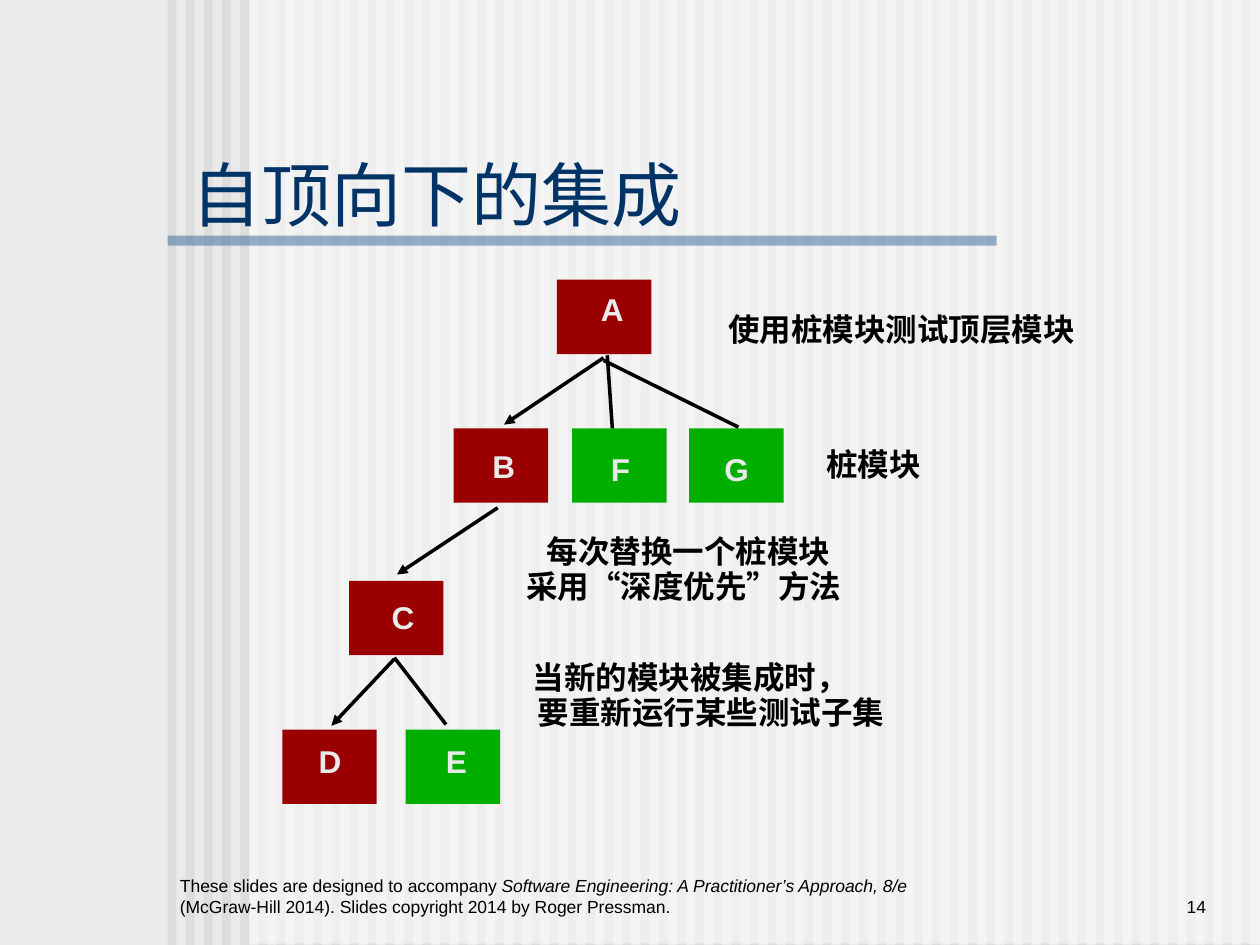
from typing import NamedTuple

from lxml import etree
from pptx import Presentation
from pptx.dml.color import RGBColor
from pptx.enum.shapes import MSO_CONNECTOR, MSO_SHAPE
from pptx.enum.text import MSO_ANCHOR, MSO_AUTO_SIZE, PP_ALIGN
from pptx.oxml.ns import qn
from pptx.util import Inches, Pt

RECT = MSO_SHAPE.RECTANGLE
LINE = MSO_CONNECTOR.STRAIGHT
BOTTOM, MIDDLE = MSO_ANCHOR.BOTTOM, MSO_ANCHOR.MIDDLE
LEFT, RIGHT = PP_ALIGN.LEFT, PP_ALIGN.RIGHT
GROW, FIXED = MSO_AUTO_SIZE.SHAPE_TO_FIT_TEXT, MSO_AUTO_SIZE.NONE

FONT = "Arial"
BLACK, PALE, NAVY = "000000", "EAEAEA", "003366"
RED, GREEN = "9A0000", "00AE00"
BOX_W, BOX_H = 0.75, 0.59
STRIPES = 60
PITCH = 8.52 / (STRIPES - 1)


class Module(NamedTuple):
    name: str
    left: float
    top: float
    color: str
    text_left: float
    text_top: float
    text_width: float


class Link(NamedTuple):
    x1: float
    y1: float
    x2: float
    y2: float
    arrow: bool = False


class Note(NamedTuple):
    text: str
    left: float
    top: float
    width: float


MODULES = [
    Module("A", 4.42, 2.22, RED, 4.67, 2.25, 0.38),
    Module("B", 3.6, 3.4, RED, 3.81, 3.5, 0.38),
    Module("C", 2.77, 4.61, RED, 3.01, 4.7, 0.38),
    Module("D", 2.24, 5.79, RED, 2.43, 5.84, 0.38),
    Module("E", 3.22, 5.79, GREEN, 3.44, 5.84, 0.37),
    Module("F", 4.54, 3.4, GREEN, 4.75, 3.52, 0.35),
    Module("G", 5.47, 3.4, GREEN, 5.65, 3.52, 0.39),
]
LINKS = [
    Link(3.13, 5.22, 3.54, 5.75),
    Link(4.82, 2.82, 4.86, 3.4),
    Link(4.79, 2.86, 5.86, 3.39),
    Link(4.79, 2.84, 4, 3.37, True),
    Link(3.95, 4.03, 3.15, 4.56, True),
    Link(3.13, 5.23, 2.63, 5.76, True),
]
NOTES = [
    Note("使用桩模块测试顶层模块", 5.68, 2.41, 2.95),
    Note("桩模块", 6.46, 3.48, 0.95),
    Note("每次替换一个桩模块", 4.24, 4.17, 2.51),
    Note("采用“深度优先”方法", 4.08, 4.45, 2.7),
    Note("当新的模块被集成时，", 4.13, 5.17, 2.7),
    Note("要重新运行某些测试子集", 4.17, 5.45, 2.95),
]
CREDIT = [
    ("These slides are designed to accompany ", False),
    ("Software Engineering: A Practitioner’s Approach, 8/e ", True),
    ("(McGraw-Hill 2014). Slides copyright 2014 by Roger Pressman.", False),
]


def rgb(color: str) -> RGBColor:
    return RGBColor.from_string(color)


def style(run, size: float, color: str, bold: bool = False, italic: bool = False) -> None:
    font = run.font
    font.name, font.size = FONT, Pt(size)
    font.bold, font.italic = bold, italic
    font.color.rgb = rgb(color)


def add_rect(slide, left: float, top: float, width: float, height: float,
             color: str, alpha: int = 100) -> None:
    shape = slide.shapes.add_shape(
        RECT, Inches(left), Inches(top), Inches(width), Inches(height))
    shape.shadow.inherit = False
    shape.line.fill.background()
    shape.fill.solid()
    shape.fill.fore_color.rgb = rgb(color)
    if alpha < 100:
        tone = shape.fill._xPr.find(".//" + qn("a:srgbClr"))
        etree.SubElement(tone, qn("a:alpha"), val=str(alpha * 1000))


def add_label(slide, text: str, left: float, top: float, width: float, color: str) -> None:
    box = slide.shapes.add_textbox(
        Inches(left), Inches(top), Inches(width), Inches(0.4))
    frame = box.text_frame
    frame.word_wrap = False
    frame.auto_size = GROW
    frame.text = text
    style(frame.paragraphs[0].runs[0], 18, color, bold=True)


def add_link(slide, link: Link) -> None:
    line = slide.shapes.add_connector(
        LINE, Inches(link.x1), Inches(link.y1), Inches(link.x2), Inches(link.y2))
    line.line.color.rgb = rgb(BLACK)
    line.line.width = Pt(2)
    if link.arrow:
        etree.SubElement(line.line._get_or_add_ln(), qn("a:tailEnd"), type="triangle")
    etree.SubElement(line._element.spPr, qn("a:effectLst"))


def add_foot(slide, left: float, width: float, parts: list[tuple[str, bool]], align) -> None:
    """Add a bottom-anchored line of (text, italic) parts."""
    box = slide.shapes.add_textbox(
        Inches(left), Inches(6.83), Inches(width), Inches(0.5))
    frame = box.text_frame
    frame.word_wrap = True
    frame.vertical_anchor = BOTTOM
    para = frame.paragraphs[0]
    para.alignment = align
    for text, italic in parts:
        run = para.add_run()
        run.text = text
        style(run, 10, BLACK, italic=italic)


def add_title(slide, text: str) -> None:
    title = slide.shapes.title
    title.left, title.top = Inches(1.42), Inches(1.25)
    title.width, title.height = Inches(7.58), Inches(0.57)
    frame = title.text_frame
    frame.text = text
    frame.auto_size = FIXED
    frame.vertical_anchor = MIDDLE
    para = frame.paragraphs[0]
    para.alignment = LEFT
    style(para.runs[0], 40, NAVY)


def add_backdrop(slide) -> None:
    fill = slide.background.fill
    fill.solid()
    fill.fore_color.rgb = rgb(PALE)
    for i in range(STRIPES):
        add_rect(slide, 1.33 + i * PITCH, 0, 0.07, 7.5, "DDDDDD")
    add_rect(slide, 1.98, -0.01, 8.02, 7.5, "FFFFFF", 50)
    add_rect(slide, 1.33, 1.87, 6.58, 0.08, "336699", 50)


def main() -> None:
    deck = Presentation()
    deck.slide_width, deck.slide_height = Inches(10), Inches(7.5)
    slide = deck.slides.add_slide(deck.slide_layouts[5])
    add_backdrop(slide)
    add_foot(slide, 1.33, 6, CREDIT, LEFT)
    add_foot(slide, 8.25, 1.42, [("14", False)], RIGHT)
    add_title(slide, "自顶向下的集成")
    # The title is made first, so lift it above the backdrop
    slide.shapes._spTree.append(slide.shapes.title._element)
    for mod in MODULES:
        add_rect(slide, mod.left, mod.top, BOX_W, BOX_H, mod.color)
    for link in LINKS:
        add_link(slide, link)
    for note in NOTES:
        add_label(slide, *note, BLACK)
    for mod in MODULES:
        add_label(slide, mod.name, mod.text_left, mod.text_top, mod.text_width, PALE)
    deck.save("out.pptx")


if __name__ == "__main__":
    main()
